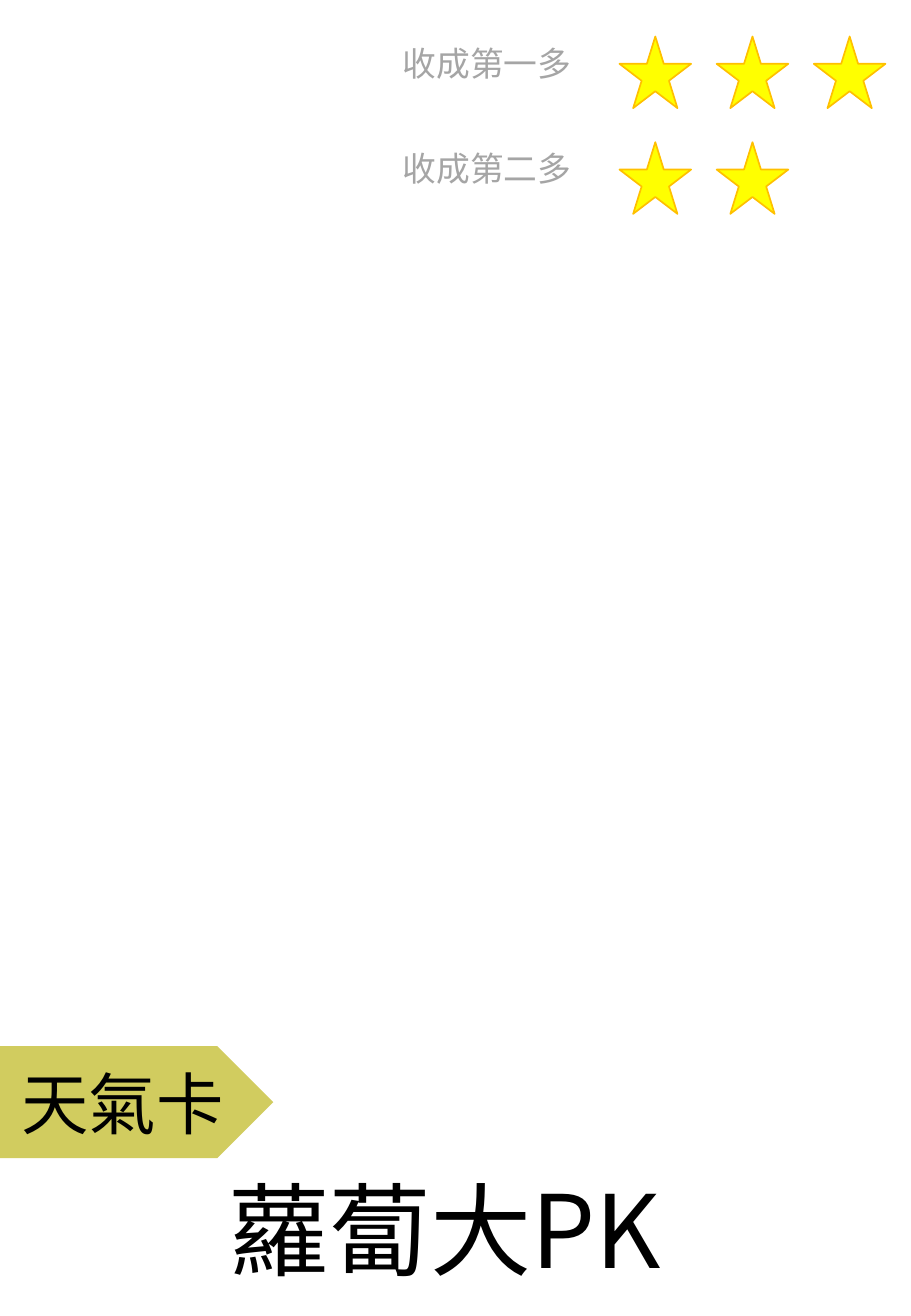
from dataclasses import dataclass

from pptx import Presentation
from pptx import util as u
from pptx.dml.color import RGBColor
from pptx.enum import shapes, text


@dataclass(frozen=True)
class Theme:
    """Colours, fonts and type sizes of the card."""
    ink: str = "000000"
    label: str = "A5A5A5"
    tag: str = "D1CC5F"
    star: str = "FFFF00"
    star_edge: str = "FFC000"
    heading_font: str = "Noto Sans CJK SC"
    label_font: str = "Calibri"
    title_size: int = 60
    tag_size: int = 40
    label_size: int = 20


THEME = Theme()
WIDTH, HEIGHT = 7.5, 10.83
AWARDS = [("收成第一多", 3), ("收成第二多", 2)]
AWARD_PITCH = 0.87
LABEL_WIDTH, LABEL_HEIGHT = 1.74, 0.44
STAR_SIZE, STAR_OFFSET, STAR_PITCH = 0.59, 1.96, 0.8


def inches(*lengths):
    """Convert lengths in inches to slide units."""
    return [u.Inches(length) for length in lengths]


def write(shape, words, font, size, colour):
    """Put one centred paragraph into a shape."""
    shape.text_frame.word_wrap = True
    paragraph = shape.text_frame.paragraphs[0]
    paragraph.text = words
    paragraph.alignment = text.PP_ALIGN.CENTER
    paragraph.font.name = font
    paragraph.font.size = u.Pt(size)
    paragraph.font.color.rgb = RGBColor.from_string(colour)


def add_text(slide, box, words, font, size, colour):
    """Add a text box that fills the given box."""
    text_box = slide.shapes.add_textbox(*inches(*box))
    write(text_box, words, font, size, colour)


def add_filled(slide, kind, box, fill, edge=None):
    """Add a flat preset shape, outlined only if an edge colour is given."""
    shape = slide.shapes.add_shape(kind, *inches(*box))
    shape.shadow.inherit = False
    shape.fill.solid()
    shape.fill.fore_color.rgb = RGBColor.from_string(fill)
    if edge:
        shape.line.color.rgb = RGBColor.from_string(edge)
        shape.line.width = u.Pt(1)
    else:
        shape.line.fill.background()
    return shape


def add_award(slide, left, top, words, star_count):
    """Add one harvest award: a label followed by its stars."""
    add_text(slide, (left, top, LABEL_WIDTH, LABEL_HEIGHT), words,
             THEME.label_font, THEME.label_size, THEME.label)
    for column in range(star_count):
        star_left = left + STAR_OFFSET + column * STAR_PITCH
        add_filled(slide, shapes.MSO_SHAPE.STAR_5_POINT,
                   (star_left, top, STAR_SIZE, STAR_SIZE),
                   THEME.star, THEME.star_edge)


def add_awards(slide, left, top):
    """Stack the harvest awards downwards from the given corner."""
    for row, (words, star_count) in enumerate(AWARDS):
        add_award(slide, left, top + row * AWARD_PITCH, words, star_count)


def add_tag(slide, box, words):
    """Add the arrow-shaped tag that names the card type."""
    tag = add_filled(slide, shapes.MSO_SHAPE.PENTAGON, box, THEME.tag)
    tag.text_frame.vertical_anchor = text.MSO_ANCHOR.MIDDLE
    write(tag, words, THEME.heading_font, THEME.tag_size, THEME.ink)


def main():
    """Build the weather card and save it."""
    presentation = Presentation()
    presentation.slide_width, presentation.slide_height = inches(WIDTH, HEIGHT)
    slide = presentation.slides.add_slide(presentation.slide_layouts[6])
    add_text(slide, (1.54, 9.56, 4.24, 1.11), "蘿蔔大PK",
             THEME.heading_font, THEME.title_size, THEME.ink)
    add_tag(slide, (0, 8.61, 0.3 * WIDTH, 0.92), "天氣卡")
    add_awards(slide, 3.14, 0.3)
    presentation.save("out.pptx")


if __name__ == "__main__":
    main()
